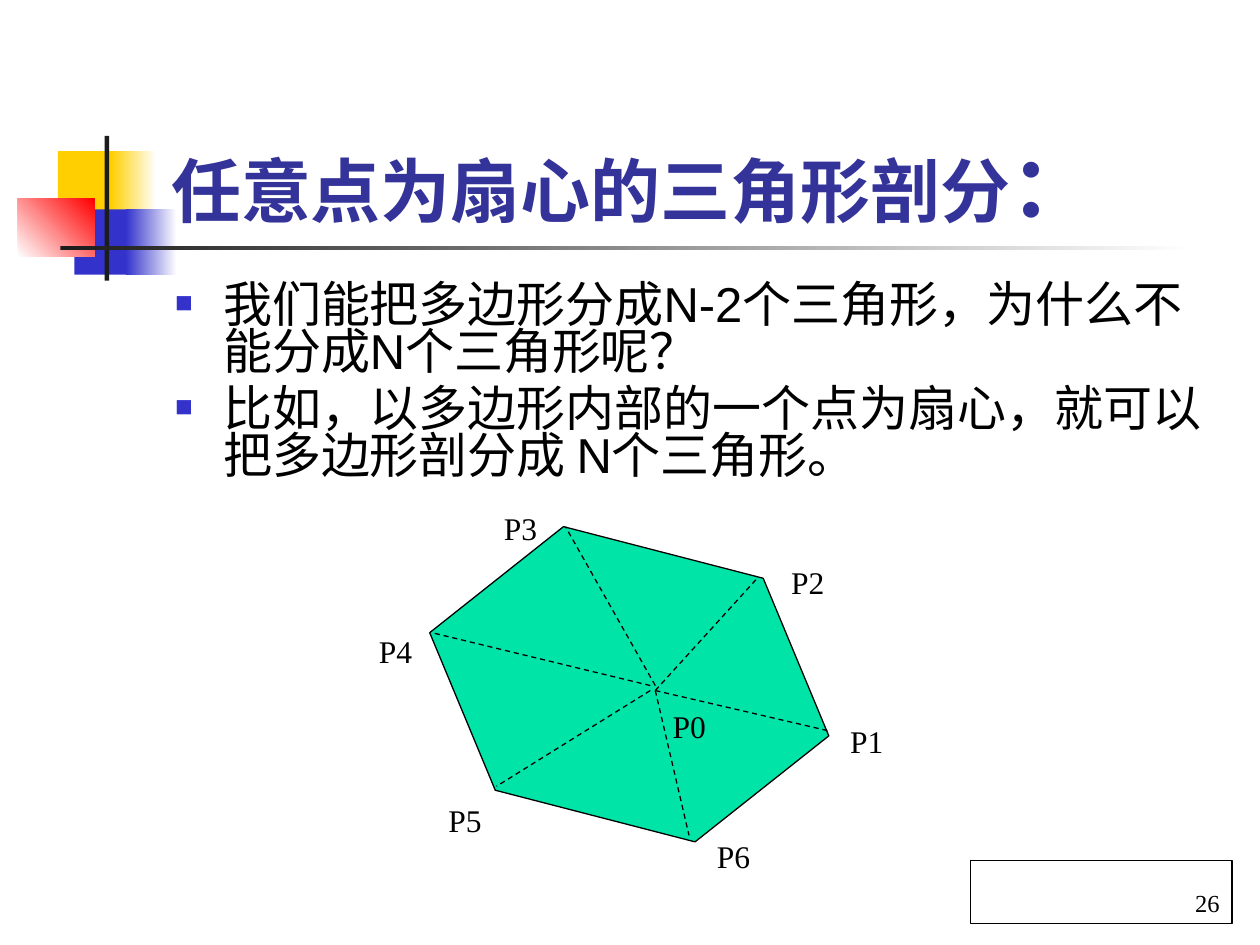
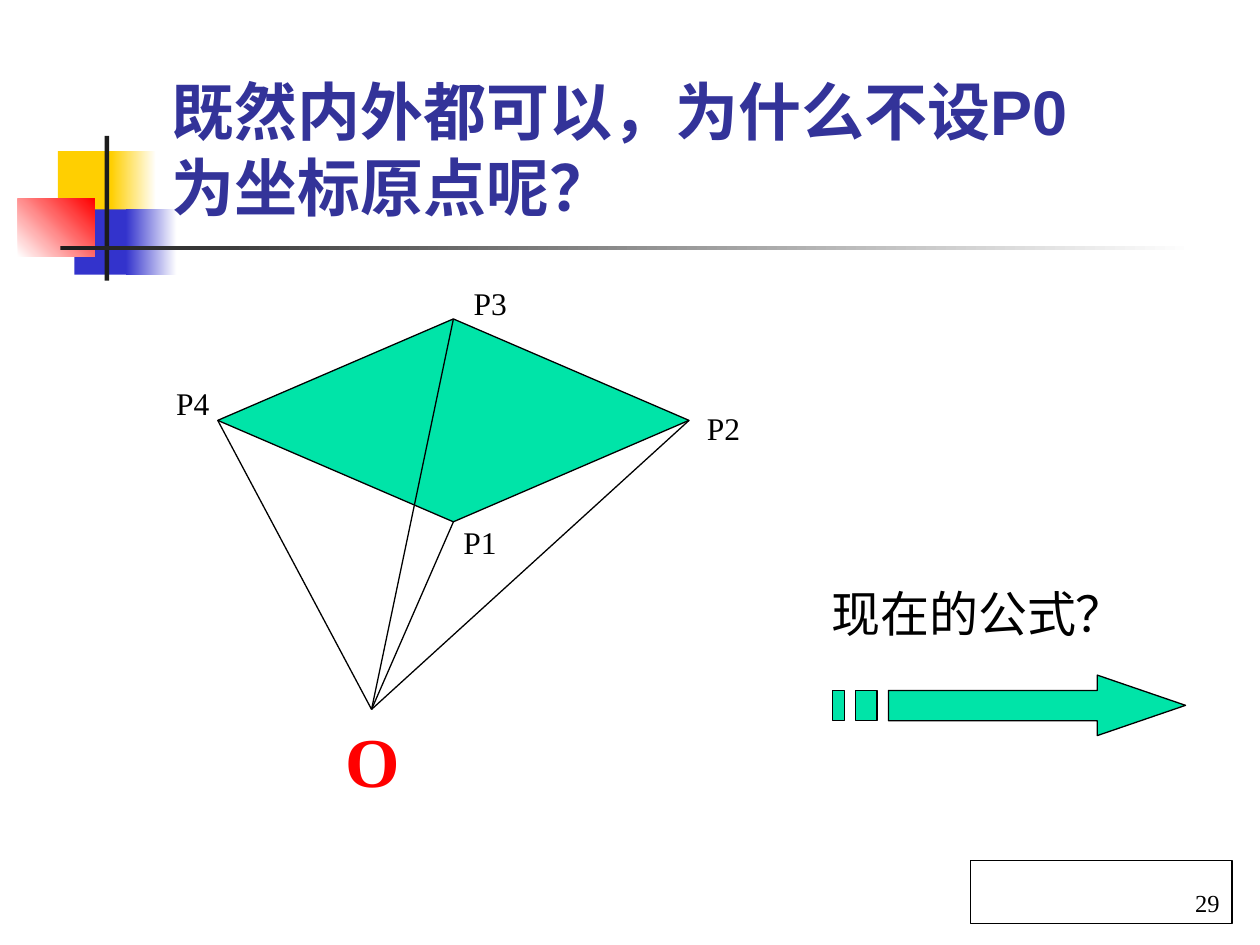
import lxml.etree
import pptx
import pptx.dml.color
import pptx.enum.dml
import pptx.enum.shapes
import pptx.enum.text
import pptx.oxml.ns
import pptx.util

Cm = pptx.util.Cm
Pt = pptx.util.Pt
RGBColor = pptx.dml.color.RGBColor
MSO_SHAPE = pptx.enum.shapes.MSO_SHAPE
MSO_ANCHOR = pptx.enum.text.MSO_ANCHOR
PP_ALIGN = pptx.enum.text.PP_ALIGN
qn = pptx.oxml.ns.qn

BLACK = RGBColor(0x00, 0x00, 0x00)
WHITE = RGBColor(0xFF, 0xFF, 0xFF)
INK = RGBColor(0x1C, 0x1C, 0x1C)
YELLOW = RGBColor(0xFF, 0xCF, 0x01)
BLUE = RGBColor(0x33, 0x33, 0xCC)
NAVY = RGBColor(0x33, 0x33, 0x99)
RED = RGBColor(0xFF, 0x00, 0x00)
GREEN = RGBColor(0x00, 0xE4, 0xA8)

SANS, SERIF = "Arial", "Times New Roman"
TITLE = {"name": SANS, "size": Pt(40), "bold": True, "color": NAVY}
BODY = {"name": SANS, "size": Pt(28), "color": BLACK}
LABEL = {"name": SERIF, "size": Pt(18), "color": BLACK}
NUMBER = {**LABEL, "size": Pt(14)}
QUESTION = {**LABEL, "size": Pt(28)}
ORIGIN = {"name": SERIF, "size": Pt(40), "bold": True, "color": RED}

# Box, fill colours (two make a gradient), gradient angle
ORNAMENTS = [
    ((1.17, 3.05, 1.22, 1.32), (YELLOW,), 0),
    ((2.24, 3.05, 0.91, 1.32), (YELLOW, WHITE), 0),
    ((1.5, 4.22, 1.17, 1.32), (BLUE,), 0),
    ((2.54, 4.22, 1.02, 1.32), (BLUE, WHITE), 0),
    ((0.36, 4.01, 1.55, 1.17), (WHITE, RED), 45),
    ((2.11, 2.74, 0.09, 2.92), (INK,), 0),
    ((1.22, 4.95, 22.86, 0.09), (INK, WHITE), 0),
]


def cms(values):
    return [Cm(v) for v in values]


class Deck:
    def __init__(self):
        self.prs = pptx.Presentation()
        self.prs.slide_width, self.prs.slide_height = Cm(25.4), Cm(19.05)
        self.s = None

    def slide(self, title_box, title_runs, number):
        """Start a slide with its ornaments, title and page number."""
        self.s = self.prs.slides.add_slide(self.prs.slide_layouts[6])
        for box, colors, angle in ORNAMENTS:
            self.shape(MSO_SHAPE.RECTANGLE, box, colors, angle, outlined=False)
        tf = self.text_box(title_box, anchor=MSO_ANCHOR.BOTTOM)
        for text, size in title_runs:
            self.run(tf.paragraphs[0], text, {**TITLE, "size": Pt(size)})
        sp = self.shape(MSO_SHAPE.RECTANGLE, (19.56, 17.35, 5.28, 1.27), (WHITE,))
        sp.text_frame.vertical_anchor = MSO_ANCHOR.BOTTOM
        p = sp.text_frame.paragraphs[0]
        p.alignment = PP_ALIGN.RIGHT
        self.run(p, str(number), NUMBER)

    def finish(self, sp, colors, angle=0, outlined=True):
        sp.shadow.inherit = False
        if len(colors) == 1:
            sp.fill.solid()
            sp.fill.fore_color.rgb = colors[0]
        else:
            sp.fill.gradient()
            sp.fill.gradient_angle = angle
            for stop, color in zip(sp.fill.gradient_stops, colors):
                stop.color.rgb = color
        if outlined:
            sp.line.color.rgb = BLACK
            sp.line.width = Pt(0.75)
        else:
            sp.line.fill.background()
        return sp

    def shape(self, kind, box, colors, angle=0, outlined=True):
        sp = self.s.shapes.add_shape(kind, *cms(box))
        return self.finish(sp, colors, angle, outlined)

    def outline(self, contours, color):
        """Draw closed contours as one freeform."""
        builder = self.s.shapes.build_freeform(*cms(contours[0][0]))
        for i, (start, *rest) in enumerate(contours):
            if i:
                builder.move_to(*cms(start))
            builder.add_line_segments([cms(point) for point in rest], close=True)
        return self.finish(builder.convert_to_shape(), (color,))

    def line(self, start, end, dashed=False):
        c = self.s.shapes.add_connector(
            pptx.enum.shapes.MSO_CONNECTOR.STRAIGHT, *cms(start + end))
        c.line.color.rgb = BLACK
        c.line.width = Pt(0.75)
        if dashed:
            c.line.dash_style = pptx.enum.dml.MSO_LINE.DASH
        lxml.etree.SubElement(c._element.spPr, qn("a:effectLst"))
        return c

    def text_box(self, box, anchor=MSO_ANCHOR.TOP):
        tf = self.s.shapes.add_textbox(*cms(box)).text_frame
        tf.word_wrap = True
        tf.vertical_anchor = anchor
        return tf

    def run(self, p, text, style):
        r = p.add_run()
        r.text = text
        for name, value in style.items():
            if name == "color":
                r.font.color.rgb = value
            else:
                setattr(r.font, name, value)

    def label(self, text, left, top, width=1.5, height=1.02, style=LABEL):
        tf = self.text_box((left, top, width, height))
        self.run(tf.paragraphs[0], text, style)

    def bullets(self, box, items):
        tf = self.text_box(box)
        for i, text in enumerate(items):
            p = tf.add_paragraph() if i else tf.paragraphs[0]
            p.line_spacing = 0.8
            p.space_before = Pt(5.6)
            pPr = p._p.get_or_add_pPr()
            pPr.set("marL", str(Cm(0.97)))
            pPr.set("indent", str(-Cm(0.97)))
            clr = lxml.etree.SubElement(pPr, qn("a:buClr"))
            lxml.etree.SubElement(clr, qn("a:srgbClr"), val=str(BLUE))
            lxml.etree.SubElement(pPr, qn("a:buSzPct"), val="60000")
            lxml.etree.SubElement(pPr, qn("a:buFont"), typeface=SANS)
            lxml.etree.SubElement(pPr, qn("a:buChar"), char="■")
            self.run(p, text, BODY)


def fan_slide(deck):
    deck.slide((3.2, 2.31, 21.64, 2.54),
               [("任意点为扇心的三角形剖分", 40), ("：", 48)], 26)
    deck.bullets((3.28, 5.61, 21.59, 4.72), [
        "我们能把多边形分成N-2个三角形，为什么不能分成N个三角形呢？",
        "比如，以多边形内部的一个点为扇心，就可以把多边形剖分成 N个三角形。",
    ])
    hexagon = deck.shape(MSO_SHAPE.HEXAGON, (8.53, 11.05, 8.31, 5.49), (GREEN,))
    hexagon.adjustments[0] = 0.378
    hexagon.rotation = 14.5

    spokes = [
        ((13.21, 13.82), (11.4, 10.62)),
        ((13.21, 13.92), (15.29, 11.63)),
        ((13.21, 13.92), (16.69, 14.73)),
        ((13.21, 13.92), (13.89, 16.84)),
        ((13.11, 13.92), (10.01, 15.85)),
        ((13.11, 13.82), (8.69, 12.75)),
    ]
    for hub, corner in spokes:
        deck.line(hub, corner, dashed=True)

    places = [(13.31, 14.12), (16.89, 14.43), (15.7, 11.23), (9.91, 10.13),
              (7.39, 12.62), (8.79, 16.03), (14.2, 16.74)]
    for i, place in enumerate(places):
        deck.label(f"P{i}", *place)


def origin_slide(deck):
    deck.slide((3.2, 1.52, 19.3, 3.12),
               [("既然内外都可以，为什么不设P0为坐标原点呢？", 36)], 29)
    diamond = deck.shape(MSO_SHAPE.DIAMOND, (4.39, 6.43, 9.5, 4.09), (GREEN,))
    origin = (7.49, 14.3)
    for site in range(4):
        deck.line(origin, origin).end_connect(diamond, site)

    deck.label("O", 6.71, 14.33, height=1.96, style=ORIGIN)
    places = [(9.09, 10.41), (14, 8.13), (9.3, 5.61), (3.3, 7.62)]
    for i, place in enumerate(places, 1):
        deck.label(f"P{i}", *place)

    deck.label("现在的公式？", 16.51, 11.63, 7.11, 1.45, QUESTION)
    top, bottom = 13.92, 14.53
    arrow = [(22.12, 13.61), (22.12, top), (17.91, top), (17.91, bottom),
             (22.12, bottom), (22.12, 14.83), (23.9, 14.22)]
    stripes = [[(left, top), (left, bottom), (right, bottom), (right, top)]
               for left, right in ((17.25, 17.68), (16.79, 17.02))]
    deck.outline([arrow, *stripes], GREEN)


def main():
    deck = Deck()
    fan_slide(deck)
    origin_slide(deck)
    deck.prs.save("out.pptx")


if __name__ == "__main__":
    main()
